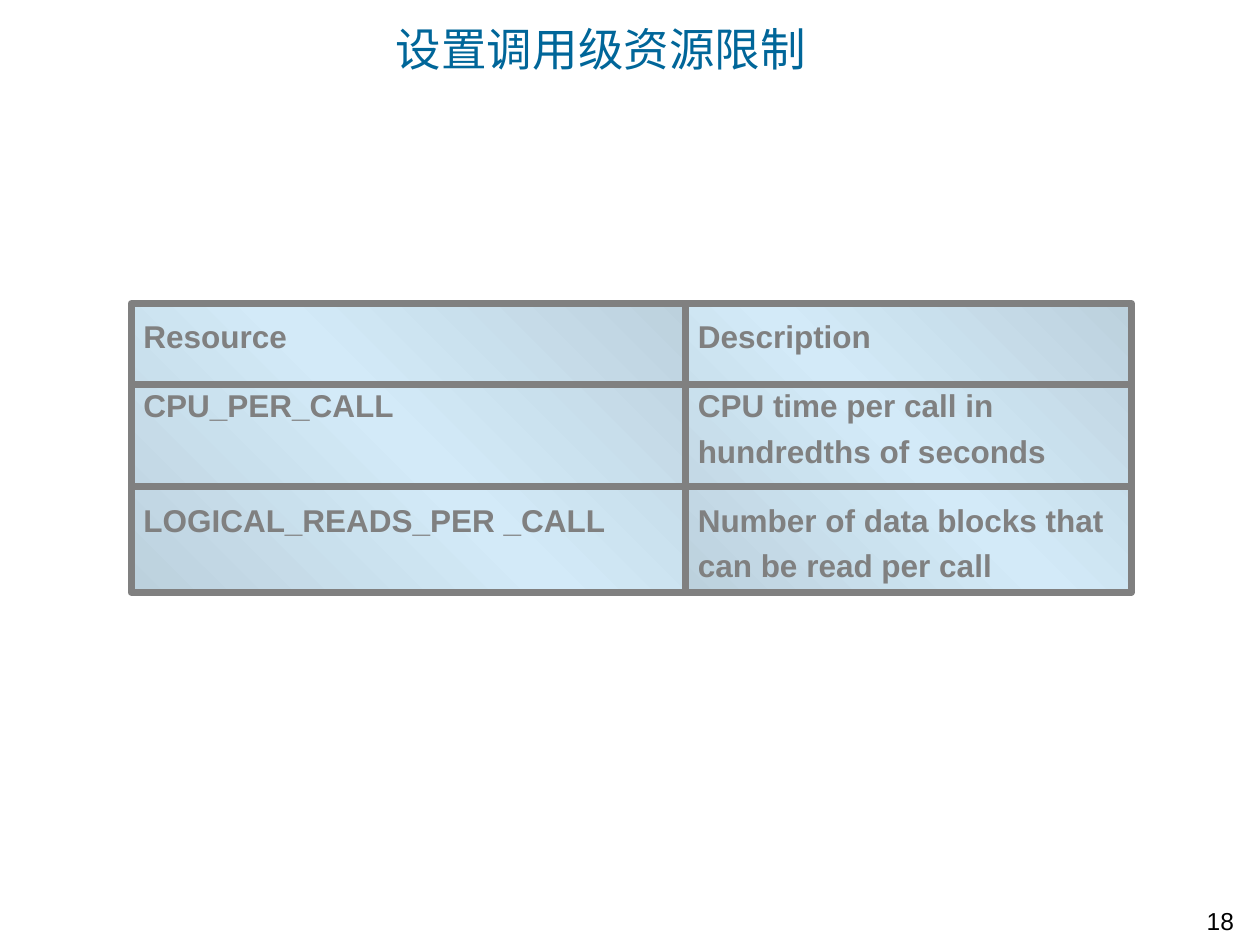
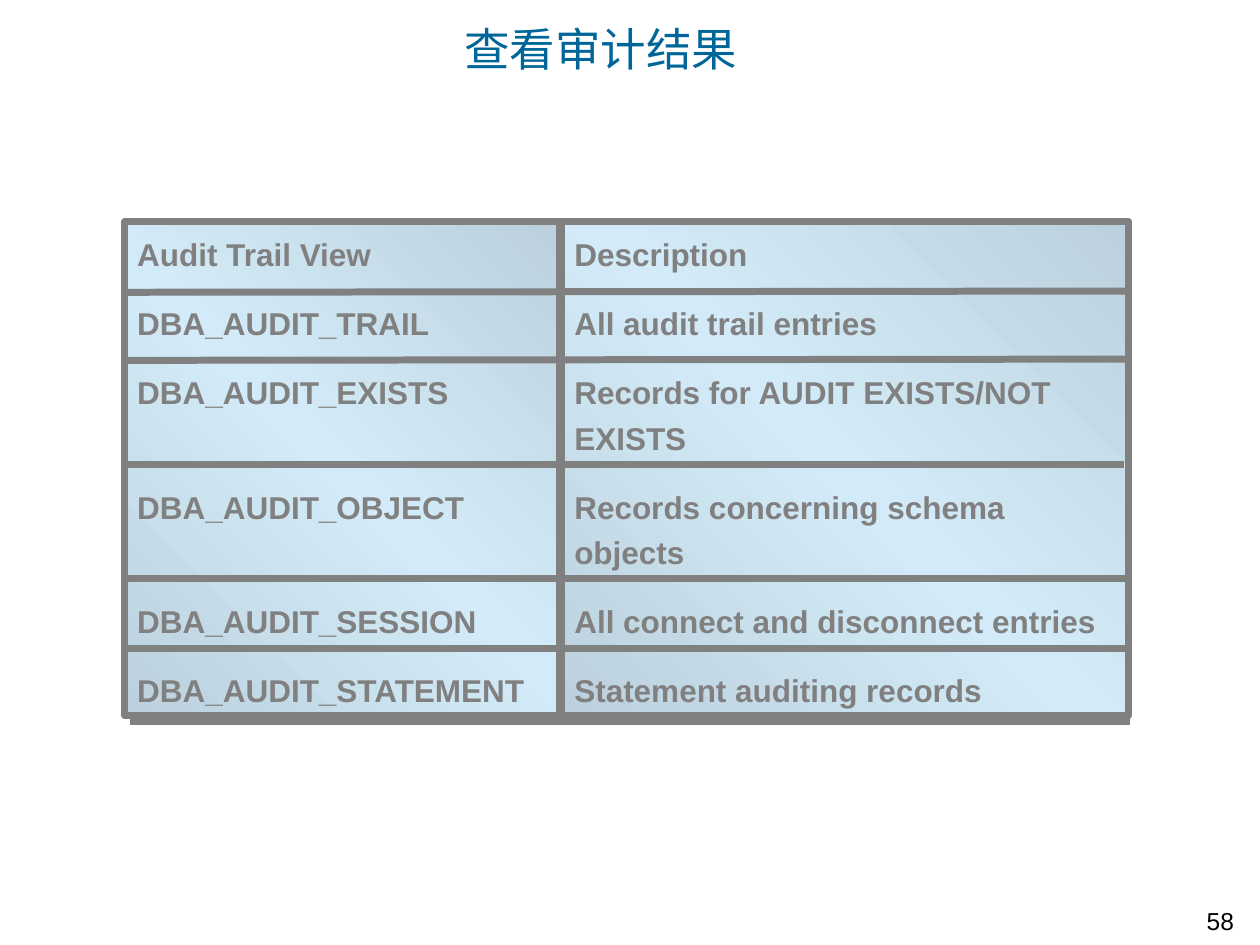
from copy import deepcopy

from pptx import Presentation
from pptx import util as u
from pptx.dml.color import RGBColor
from pptx.enum import shapes, text
from pptx.oxml.ns import qn
from lxml import etree

COLORS = {"title": "006699", "table": "808080", "edge": "BCD1DD",
          "middle": "D3EAF8", "number": "000000"}
FONT = "Arial"
ROW_GAP = 13.5   # points before each row
LINE_PITCH = 26  # points taken by one line of table text


def color(name):
    return RGBColor.from_string(COLORS[name])


def style_paragraph(paragraph, size, color_name, bold=False):
    for run in paragraph.runs:
        run.font.name = FONT
        run.font.size = u.Pt(size)
        run.font.bold = bold
        run.font.color.rgb = color(color_name)


# Each column: left, width, rows as (text, lines left free above it)
# Each rule: start x, start y, end x, end y
SLIDES = [
    {
        "title": "设置调用级资源限制", "number": "18", "top": 2.41, "height": 2.29,
        "columns": [
            (1.04, 4.46, [("Resource", 0), ("CPU_PER_CALL", 0),
                          ("LOGICAL_READS_PER _CALL", 1)]),
            (5.44, 3.54, [("Description", 0),
                          ("CPU time per call in hundredths of seconds", 0),
                          ("Number of data blocks that can be read per call", 0)]),
        ],
        "rules": [(1.02, 3.86, 9, 3.86), (1.02, 3.05, 9, 3.05)],
    },
    {
        "title": "查看审计结果", "number": "58", "top": 1.76, "height": 3.92,
        "columns": [
            (0.99, 3.45, [("Audit Trail View", 0), ("DBA_AUDIT_TRAIL", 0),
                          ("DBA_AUDIT_EXISTS", 0), ("DBA_AUDIT_OBJECT", 1),
                          ("DBA_AUDIT_SESSION", 1), ("DBA_AUDIT_STATEMENT", 0)]),
            (4.46, 4.5, [("Description", 0), ("All audit trail entries", 0),
                         ("Records for AUDIT EXISTS/NOT EXISTS", 0),
                         ("Records concerning schema objects", 0),
                         ("All connect and disconnect entries", 0),
                         ("Statement auditing records", 0)]),
        ],
        "rules": [(1.02, 4.59, 8.95, 4.59), (1, 2.86, 8.94, 2.85),
                  (0.99, 3.69, 8.92, 3.69), (1.02, 5.15, 8.95, 5.15),
                  (1.03, 5.73, 8.97, 5.73), (1.01, 2.32, 8.96, 2.31)],
    },
]

presentation = Presentation()
presentation.slide_width = u.Inches(10)
presentation.slide_height = u.Inches(7.5)

for content in SLIDES:
    slide = presentation.slides.add_slide(presentation.slide_layouts[5])

    # Page number
    number_box = slide.shapes.add_textbox(
        u.Inches(9.14), u.Inches(7.14), u.Inches(1.09), u.Inches(0.34))
    number_box.text_frame.word_wrap = False
    number_box.text_frame.text = content["number"]
    paragraph = number_box.text_frame.paragraphs[0]
    paragraph.alignment = text.PP_ALIGN.CENTER
    style_paragraph(paragraph, 14, "number")

    # Title, centred left of the middle by its right margin
    title = slide.shapes.title
    title.left, title.top = u.Inches(1.5), u.Inches(0.25)
    title.width, title.height = u.Inches(8.5), u.Inches(0.67)
    frame = title.text_frame
    frame.text = content["title"]
    frame.auto_size = text.MSO_AUTO_SIZE.NONE
    frame.vertical_anchor = text.MSO_ANCHOR.MIDDLE
    frame.margin_right = u.Inches(2.06)
    frame.margin_bottom = u.Inches(0.46)
    frame.paragraphs[0].alignment = text.PP_ALIGN.CENTER
    style_paragraph(frame.paragraphs[0], 26, "title")

    # Gradient columns
    for left, width, rows in content["columns"]:
        column = slide.shapes.add_shape(
            shapes.MSO_SHAPE.RECTANGLE, u.Inches(left), u.Inches(content["top"]),
            u.Inches(width), u.Inches(content["height"]))
        column.shadow.inherit = False
        column.line.color.rgb = color("table")
        column.line.width = u.Pt(4)
        column.fill.gradient()
        column.fill.gradient_angle = 225
        first, last = column.fill.gradient_stops
        first.color.rgb, first.position = color("edge"), 0
        last.color.rgb, last.position = color("middle"), 0.5
        stop_list = next(column._element.iter(qn("a:gsLst")))
        end_stop = deepcopy(stop_list[0])
        end_stop.set("pos", "100000")
        stop_list.append(end_stop)

        # Rows of text
        frame = column.text_frame
        frame.word_wrap = True
        frame.vertical_anchor = text.MSO_ANCHOR.TOP
        frame.text = "\n".join(label for label, _ in rows)
        for index, (paragraph, (_, free_lines)) in enumerate(zip(frame.paragraphs, rows)):
            paragraph.alignment = text.PP_ALIGN.LEFT
            paragraph.line_spacing = 1.2
            if index:
                paragraph.space_before = u.Pt(ROW_GAP + free_lines * LINE_PITCH)
            style_paragraph(paragraph, 18, "table", bold=True)

    # Row rules
    for ends in content["rules"]:
        rule = slide.shapes.add_connector(
            shapes.MSO_CONNECTOR.STRAIGHT, *(u.Inches(value) for value in ends))
        rule.line.color.rgb = color("table")
        rule.line.width = u.Pt(4)
        etree.SubElement(rule._element.spPr, qn("a:effectLst"))

presentation.save("out.pptx")
